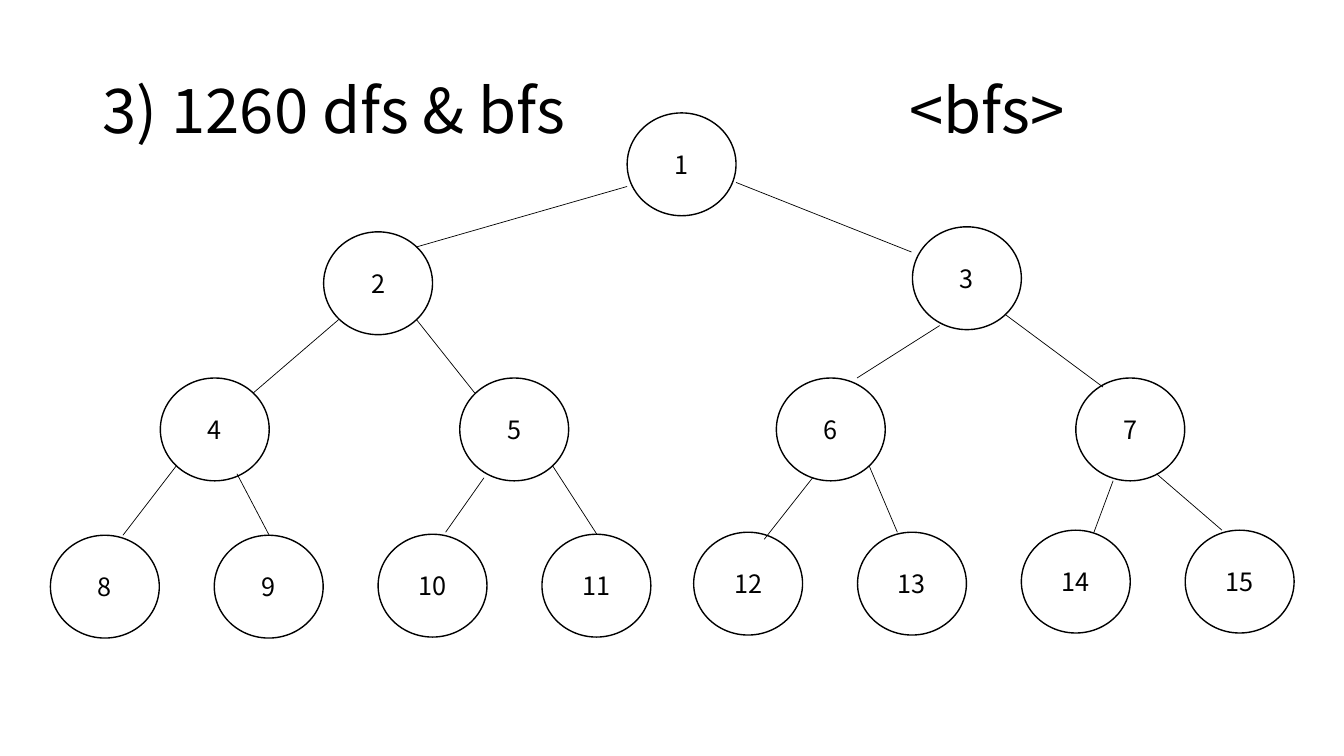
from dataclasses import dataclass

from lxml.etree import SubElement as Sub
from pptx import Presentation
from pptx.dml.color import RGBColor as Color
from pptx.enum.shapes import MSO_CONNECTOR as Link, MSO_SHAPE as Shape
from pptx.enum.text import MSO_ANCHOR as Anchor, PP_ALIGN as Align
from pptx.oxml.ns import qn
from pptx.util import Inches, Pt


@dataclass(frozen=True)
class Theme:
    """Colours, font and sizes of the slide."""
    ink: Color = Color(0, 0, 0)
    paper: Color = Color(255, 255, 255)
    font: str = "Noto Sans CJK KR"
    head: int = 44
    label: int = 18
    ring: float = 1
    edge: float = 0.5


THEME = Theme()
NODE = (1.08, 1.02)

# Left and top of each node in the tree box, level by level
NODES = [(5.72, 0), (2.71, 1.18), (8.55, 1.13)]
NODES += [(x, 2.63) for x in (1.09, 4.06, 7.2, 10.17)]
# Eight leaves at an equal step; the right half sits closer, each pair higher
NODES += [(1.625 * i - 0.12 * (i > 3), top)
          for i, top in enumerate((4.19, 4.19, 4.18, 4.18, 4.16, 4.16, 4.14, 4.14))]

# Start and end of each edge in the tree box, for children 2 to 15
EDGES = [
    (5.72, 0.73, 3.63, 1.33), (6.8, 0.69, 8.54, 1.38),
    (2.86, 2.05, 2.01, 2.78), (3.63, 2.05, 4.21, 2.78),
    (8.82, 2.11, 8, 2.63), (9.47, 2, 10.44, 2.72),
    (1.25, 3.5, 0.72, 4.19), (1.85, 3.58, 2.17, 4.19),
    (4.3, 3.62, 3.92, 4.16), (4.98, 3.5, 5.42, 4.18),
    (7.56, 3.62, 7.08, 4.23), (8.12, 3.5, 8.4, 4.16),
    (10.54, 3.65, 10.35, 4.16), (10.97, 3.58, 11.62, 4.14),
]


def add_run(para, text, size):
    """Add one styled run to a paragraph."""
    run = para.add_run()
    run.text = text
    run.font.name = THEME.font
    run.font.size = Pt(size)
    run.font.color.rgb = THEME.ink


def add_title(slide, box, left, right, stop):
    """Write the heading, with its second part at a tab stop."""
    frame = slide.shapes.add_textbox(*map(Inches, box)).text_frame
    frame.word_wrap = True
    frame.vertical_anchor = Anchor.MIDDLE
    para = frame.paragraphs[0]
    para.line_spacing = 0.9
    tabs = Sub(para._p.get_or_add_pPr(), qn("a:tabLst"))
    Sub(tabs, qn("a:tab"), pos=str(Inches(stop)), algn="l")
    add_run(para, f"{left}\t{right}", THEME.head)


def add_node(slide, x, y, text):
    """Draw one round node with its number."""
    node = slide.shapes.add_shape(Shape.OVAL, *map(Inches, (x, y, *NODE)))
    node.shadow.inherit = False
    node.fill.solid()
    node.fill.fore_color.rgb = THEME.paper
    node.line.color.rgb = THEME.ink
    node.line.width = Pt(THEME.ring)
    node.text_frame.vertical_anchor = Anchor.MIDDLE
    para = node.text_frame.paragraphs[0]
    para.alignment = Align.CENTER
    add_run(para, text, THEME.label)


def add_edge(slide, *ends):
    """Draw one thin line between two points."""
    edge = slide.shapes.add_connector(Link.STRAIGHT, *map(Inches, ends))
    edge.line.color.rgb = THEME.ink
    edge.line.width = Pt(THEME.edge)
    Sub(edge._element.spPr, qn("a:effectLst"))


def add_tree(slide, left, top):
    """Place the numbered nodes and their edges from the box corner."""
    for num, (x, y) in enumerate(NODES, 1):
        add_node(slide, left + x, top + y, str(num))
    for x1, y1, x2, y2 in EDGES:
        add_edge(slide, left + x1, top + y1, left + x2, top + y2)


def main():
    """Build and save the slide."""
    deck = Presentation()
    deck.slide_width, deck.slide_height = Inches(13.33), Inches(7.5)
    slide = deck.slides.add_slide(deck.slide_layouts[6])
    add_title(slide, (0.92, 0.4, 11.5, 1.45), "3) 1260 dfs & bfs", "<bfs>", 8)
    add_tree(slide, 0.5, 1.12)
    deck.save("out.pptx")


main()
